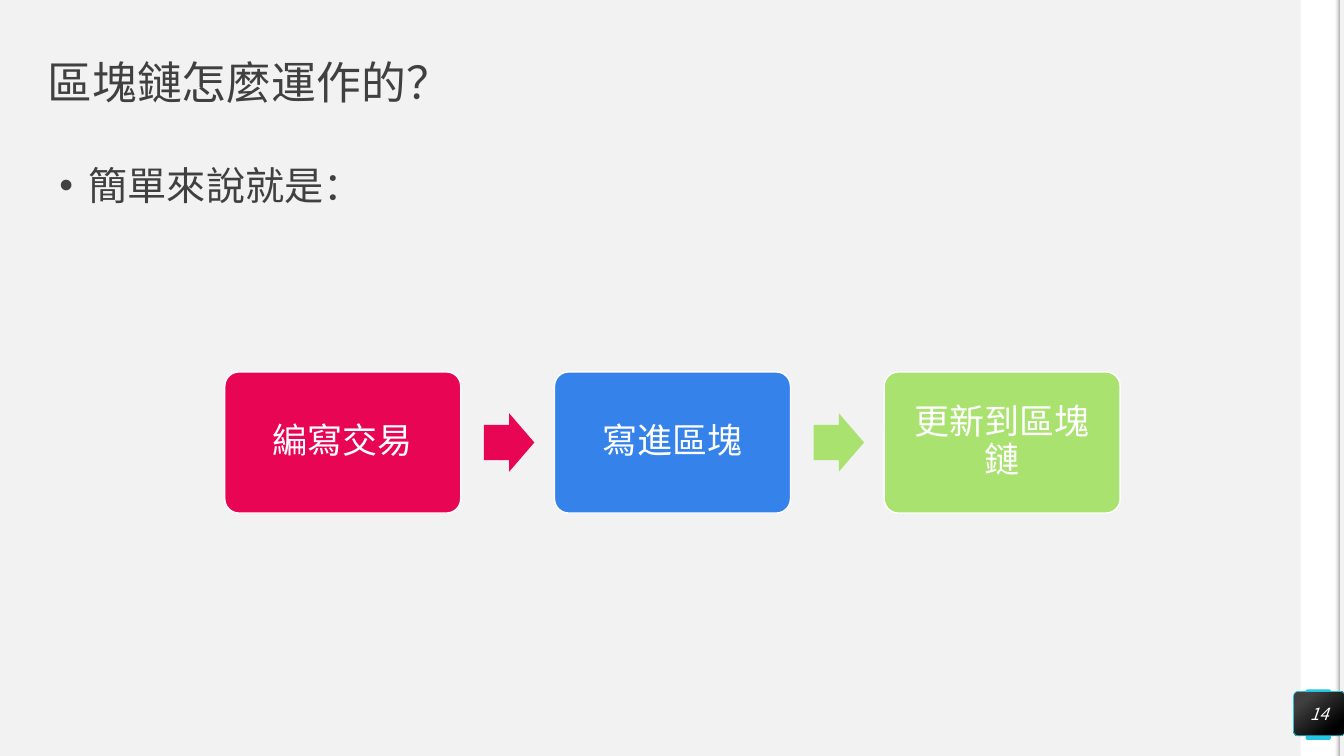
from lxml import etree
from pptx import Presentation, util as u
from pptx.dml.color import RGBColor
from pptx.enum import shapes, text
from pptx.oxml import ns

PX = 9144  # one px is a hundredth of an inch
WIDTH, HEIGHT = 1333, 750

BACKGROUND = RGBColor(0xF2, 0xF2, 0xF2)
WHITE = RGBColor(0xFF, 0xFF, 0xFF)
BLACK = RGBColor(0x00, 0x00, 0x00)
INK = RGBColor(0x40, 0x40, 0x40)
GREY = RGBColor(0xA6, 0xA6, 0xA6)
CYAN = RGBColor(0x25, 0xC6, 0xE3)
PINK = RGBColor(0xE8, 0x05, 0x54)
BLUE = RGBColor(0x35, 0x82, 0xEA)
GREEN = RGBColor(0xA9, 0xE2, 0x6F)

CJK_FONT = "Noto Sans CJK TC"
STEPS = [("編寫交易", PINK), ("寫進區塊", BLUE), ("更新到區塊鏈", GREEN)]
ARROW_COLORS = [PINK, GREEN]


def to_emu(box):
    return [u.Emu(length * PX) for length in box]


def add_block(slide, kind, box, fill=None, line=None, line_width=1, adjustments=()):
    shape = slide.shapes.add_shape(kind, *to_emu(box))
    shape.shadow.inherit = False
    for index, value in enumerate(adjustments):
        shape.adjustments[index] = value
    if fill is not None:
        shape.fill.solid()
        shape.fill.fore_color.rgb = fill
    if line is None:
        shape.line.fill.background()
    else:
        shape.line.color.rgb = line
        shape.line.width = u.Pt(line_width)
    return shape


def set_gradient(shape, stops, angle):
    shape.fill.gradient()
    shape.fill.gradient_angle = angle
    for stop, (position, color) in zip(shape.fill.gradient_stops, stops):
        stop.position = position
        stop.color.rgb = color


def write(shape, words, size, color, font=CJK_FONT, align=text.PP_ALIGN.LEFT,
          anchor=text.MSO_ANCHOR.MIDDLE, inset=0, spacing=0.9, italic=None):
    frame = shape.text_frame
    frame.word_wrap = True
    frame.vertical_anchor = anchor
    frame.margin_left = frame.margin_right = u.Emu(inset * PX)
    frame.margin_top = frame.margin_bottom = u.Emu(inset * PX)
    paragraph = frame.paragraphs[0]
    paragraph.alignment = align
    paragraph.line_spacing = spacing
    run = paragraph.add_run()
    run.text = words
    run.font.size = u.Pt(size)
    run.font.name = font
    run.font.italic = italic
    run.font.color.rgb = color
    east_asian = etree.SubElement(run.font._element, ns.qn("a:ea"))
    east_asian.set("typeface", CJK_FONT)
    return paragraph


def add_side_band(slide, box):
    left, top, width, height = box
    rectangle = shapes.MSO_SHAPE.RECTANGLE
    add_block(slide, rectangle, box, WHITE)
    # Soft shade along the right edge, clear at its left
    shade = add_block(slide, rectangle, (left + width - 5, top, 5, height))
    set_gradient(shade, [(0, BACKGROUND), (1, GREY)], 0)
    first_color = next(shade._element.iter(ns.qn("a:gs")))[0]
    etree.SubElement(first_color, ns.qn("a:alpha")).set("val", "0")


def add_page_number(slide, box, number):
    left, top, width, height = box
    rounded = shapes.MSO_SHAPE.ROUNDED_RECTANGLE
    add_block(slide, rounded, (left + 12, top - 2, 25, height + 6), CYAN,
              adjustments=[0.07])
    badge = add_block(slide, rounded, box, line=CYAN, line_width=0.5, adjustments=[0.1])
    set_gradient(badge, [(0.2, INK), (0.82, BLACK)], 310)
    write(badge, number, 12, WHITE, align=text.PP_ALIGN.CENTER, spacing=1, italic=True)


def add_title(slide, box, words):
    write(slide.shapes.add_textbox(*to_emu(box)), words, 32, INK)


def add_body(slide, box, words):
    paragraph = write(slide.shapes.add_textbox(*to_emu(box)), words, 28, INK,
                      anchor=text.MSO_ANCHOR.TOP)
    properties = paragraph._p.get_or_add_pPr()
    properties.set("marL", str(29 * PX))
    properties.set("indent", str(-29 * PX))
    etree.SubElement(properties, ns.qn("a:buFont")).set("typeface", "Arial")
    etree.SubElement(properties, ns.qn("a:buChar")).set("char", "•")


def add_process(slide, box):
    left, top, width, height = box
    card_width = 234
    pitch = (width - card_width) // (len(STEPS) - 1)
    arrow_width, arrow_height = 50, 58
    for index, (words, color) in enumerate(STEPS):
        card_left = left + index * pitch
        card = add_block(slide, shapes.MSO_SHAPE.ROUNDED_RECTANGLE,
                         (card_left, top, card_width, height), color, WHITE,
                         adjustments=[0.1])
        paragraph = write(card, words, 25, WHITE, "Calibri", text.PP_ALIGN.CENTER, inset=14)
        paragraph.space_after = u.Pt(9)
        # Arrow to the next card
        if index < len(ARROW_COLORS):
            add_block(slide, shapes.MSO_SHAPE.RIGHT_ARROW,
                      (card_left + card_width + 23, top + (height - arrow_height) // 2,
                       arrow_width, arrow_height),
                      ARROW_COLORS[index], adjustments=[0.6, 0.5])


def main():
    presentation = Presentation()
    presentation.slide_width, presentation.slide_height = to_emu((WIDTH, HEIGHT))
    slide = presentation.slides.add_slide(presentation.slide_layouts[6])
    slide.background.fill.solid()
    slide.background.fill.fore_color.rgb = BACKGROUND

    add_side_band(slide, (1290, 0, 39, HEIGHT))
    add_title(slide, (47, 47, 1239, 75), "區塊鏈怎麼運作的？")
    add_body(slide, (59, 165, 1173, 512), "簡單來說就是：")
    add_page_number(slide, (1283, 686, 51, 44), "14")
    add_process(slide, (223, 369, 888, 140))
    presentation.save("out.pptx")


if __name__ == "__main__":
    main()
